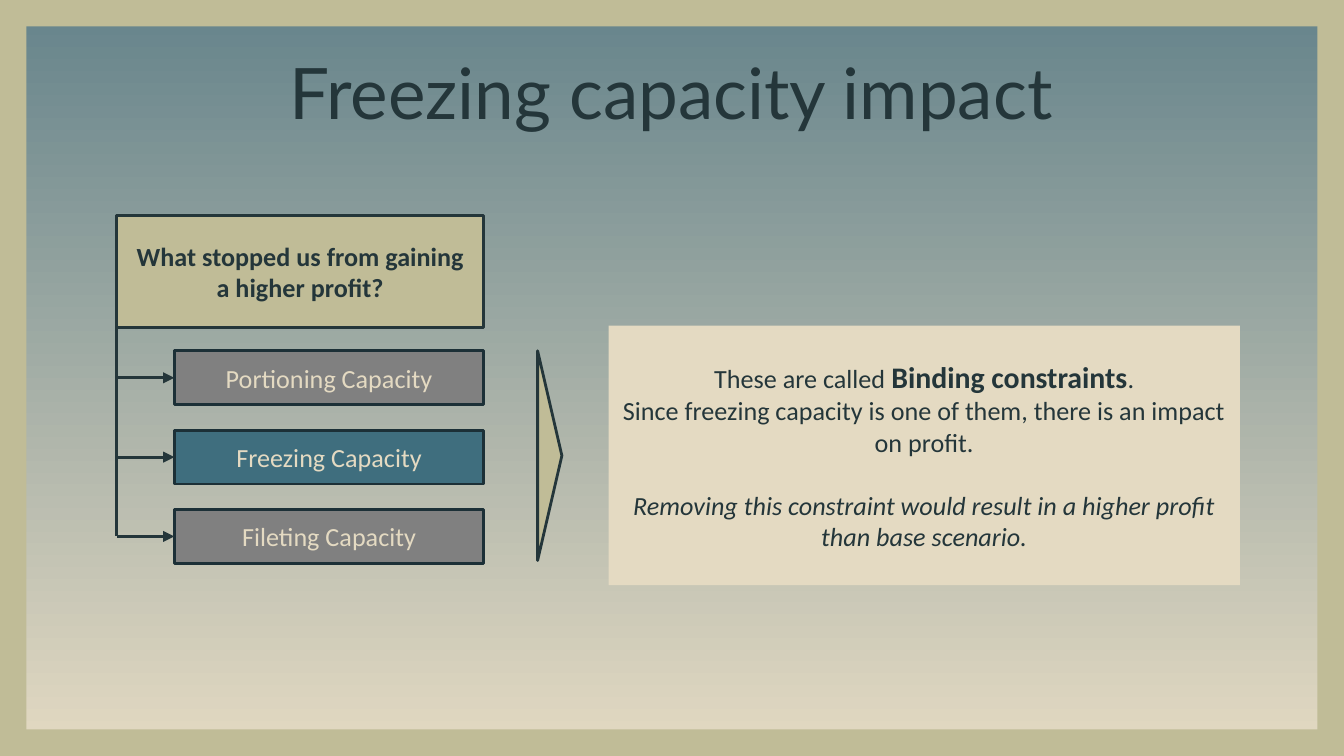
from lxml.etree import SubElement
from pptx import Presentation
from pptx.dml.color import RGBColor
from pptx.enum.shapes import MSO_CONNECTOR, MSO_SHAPE
from pptx.enum.text import MSO_ANCHOR, PP_ALIGN
from pptx.oxml.ns import qn
from pptx.util import Pt

WIDTH, HEIGHT, FRAME = 720, 405, 14.2
DARK, NAVY, KHAKI, SAND = "24363A", "1C3037", "C0BC97", "E4DAC2"
GREY, TEAL, SKY = "808080", "3F6E7E", "65838B"

TITLE = "Freezing capacity impact"
QUESTION = "What stopped us from gaining a higher profit?"
CAPACITIES = [
    ("Portioning Capacity", GREY),
    ("Freezing Capacity", TEAL),
    ("Fileting Capacity", GREY),
]
# Each paragraph: space before, then spans of text with their format
FINDINGS = [
    (0, [("These are called ", {}),
         ("Binding constraints", {"size": Pt(16), "bold": True}),
         (".", {})]),
    (0, [("Since freezing capacity is one of them, there is an impact on profit.", {})]),
    (17, [("Removing this constraint would result in a higher profit than base scenario.",
           {"italic": True})]),
]

QUESTION_BOX = (62.6, 115.6, 196.6, 59.8)
CAPACITY_LEFT, CAPACITY_TOP, CAPACITY_HEIGHT, CAPACITY_STEP = 93.4, 188, 28.8, 42.5
TRIANGLE_BOX = (238.3, 237.6, 112.4, 13)
FINDINGS_BOX = (326, 174.5, 338.2, 139)


def rgb(hex_color):
    return RGBColor.from_string(hex_color)


def add_block(slide, bounds, fill, line=None, preset=MSO_SHAPE.RECTANGLE):
    box = slide.shapes.add_shape(preset, *map(Pt, bounds))
    box.shadow.inherit = False
    box.fill.solid()
    box.fill.fore_color.rgb = rgb(fill)
    if line:
        box.line.color.rgb = rgb(line)
        box.line.width = Pt(1.5)
    else:
        box.line.fill.background()
    return box


def write(box, paragraphs, color):
    frame = box.text_frame
    frame.word_wrap = True
    frame.vertical_anchor = MSO_ANCHOR.MIDDLE
    for index, (space_before, spans) in enumerate(paragraphs):
        para = frame.add_paragraph() if index else frame.paragraphs[0]
        para.alignment = PP_ALIGN.CENTER
        if space_before:
            para.space_before = Pt(space_before)
        for text, formats in spans:
            span = para.add_run()
            span.text = text
            span.font.color.rgb = rgb(color)
            for name, value in {"name": "Calibri", "size": Pt(14), **formats}.items():
                setattr(span.font, name, value)


def add_line(slide, start, end, arrow=False):
    line = slide.shapes.add_connector(MSO_CONNECTOR.STRAIGHT, *map(Pt, (*start, *end)))
    line.line.color.rgb = rgb(DARK)
    line.line.width = Pt(1.5)
    properties = line._element.spPr
    if arrow:
        SubElement(properties.find(qn("a:ln")), qn("a:tailEnd"), type="triangle")
    SubElement(properties, qn("a:effectLst"))
    return line


def add_background(slide):
    fill = slide.background.fill
    fill.gradient()
    fill.gradient_angle = 270
    for stop, position, color in zip(fill.gradient_stops, (0, 1), (SKY, SAND)):
        stop.position = position
        stop.color.rgb = rgb(color)
    for left, top in ((0, 0), (WIDTH - FRAME, 0)):
        add_block(slide, (left, top, FRAME, HEIGHT), KHAKI)
    for left, top in ((0, 0), (0, HEIGHT - FRAME)):
        add_block(slide, (left, top, WIDTH, FRAME), KHAKI)


def add_title(slide):
    title = slide.shapes.title
    title.left, title.top, title.width, title.height = map(Pt, (12.5, 27.4, 694, 88.6))
    frame = title.text_frame
    frame.vertical_anchor = MSO_ANCHOR.TOP
    for side in ("left", "top", "right", "bottom"):
        setattr(frame, f"margin_{side}", Pt(7.2))
    para = frame.paragraphs[0]
    para.text = TITLE
    para.alignment = PP_ALIGN.CENTER
    para.line_spacing = 0.8
    para.font.name = "Lato"
    para.font.size = Pt(38)
    para.font.color.rgb = rgb(DARK)


def add_capacity_tree(slide):
    left, top, width, height = QUESTION_BOX
    question = add_block(slide, QUESTION_BOX, KHAKI, DARK)
    write(question, [(0, [(QUESTION, {"bold": True})])], DARK)
    for index, (label, fill) in enumerate(CAPACITIES):
        box_top = CAPACITY_TOP + index * CAPACITY_STEP
        middle = box_top + CAPACITY_HEIGHT / 2
        bounds = (CAPACITY_LEFT, box_top, left + width - CAPACITY_LEFT, CAPACITY_HEIGHT)
        box = add_block(slide, bounds, fill, NAVY)
        write(box, [(0, [(label, {})])], SAND)
        branch = add_line(slide, (left, middle), (CAPACITY_LEFT, middle), arrow=True)
        branch.end_connect(box, 1)
    add_line(slide, (left, top + height), (left, middle))


def main():
    deck = Presentation()
    deck.slide_width, deck.slide_height = Pt(WIDTH), Pt(HEIGHT)
    slide = deck.slides.add_slide(deck.slide_layouts[5])
    add_background(slide)
    add_title(slide)
    add_capacity_tree(slide)
    triangle = add_block(slide, TRIANGLE_BOX, KHAKI, DARK, MSO_SHAPE.ISOSCELES_TRIANGLE)
    triangle.rotation = 90
    findings = add_block(slide, FINDINGS_BOX, SAND, preset=MSO_SHAPE.ROUNDED_RECTANGLE)
    findings.adjustments[0] = 0
    write(findings, FINDINGS, DARK)
    deck.save("out.pptx")


if __name__ == "__main__":
    main()
